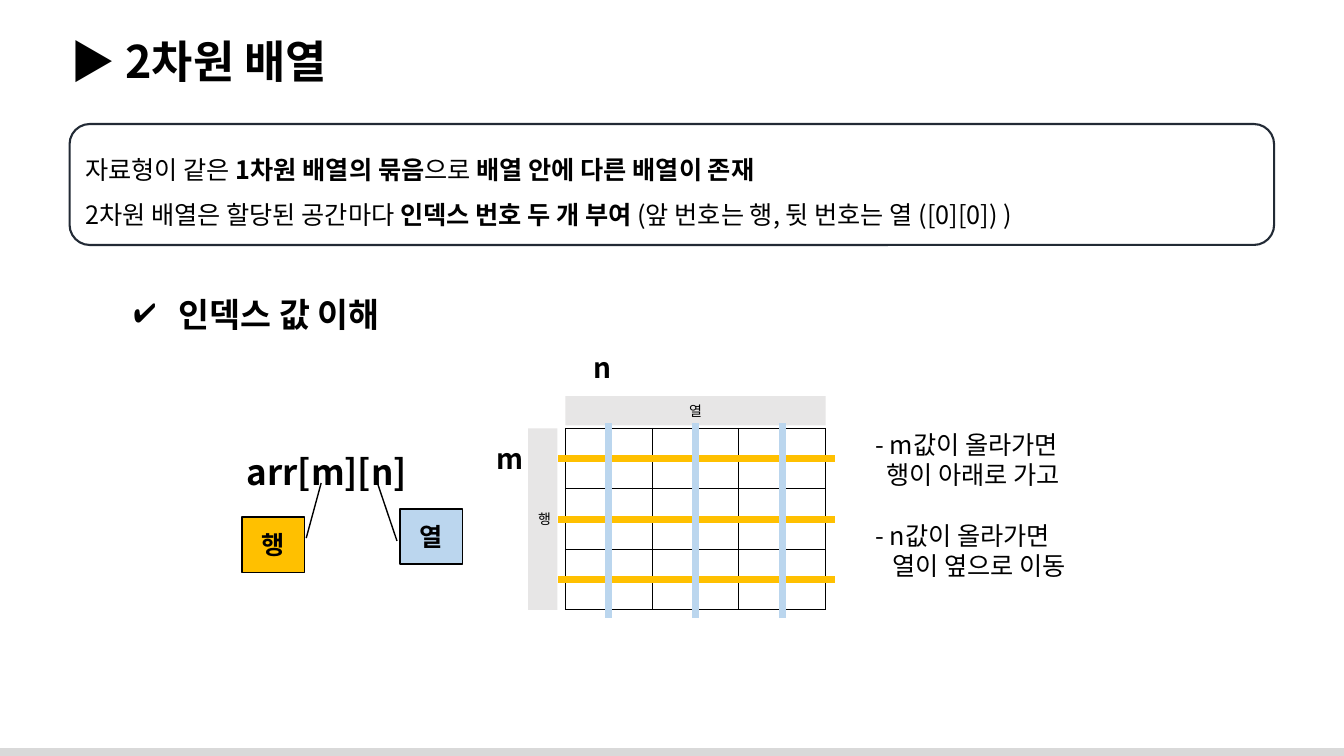
from lxml.etree import SubElement
from pptx import Presentation
from pptx.dml.color import RGBColor
from pptx.enum.shapes import MSO_CONNECTOR, MSO_SHAPE
from pptx.enum.text import MSO_ANCHOR, PP_ALIGN
from pptx.oxml.ns import qn
from pptx.util import Pt

TITLE = [[("▶ 2차원 배열", True)]]
SUMMARY = [
    [("자료형이 같은 ", False), ("1차원 배열의 묶음", True), ("으로 ", False),
     ("배열 안에 다른 배열이 존재", True)],
    [("2차원 배열은 할당된 공간마다 ", False), ("인덱스 번호 두 개 부여 ", True),
     ("(앞 번호는 행, 뒷 번호는 열 ([0][0]) )", False)],
]
HEADING = [[("인덱스 값 이해", True)]]
LABELS = [
    ("m", (342, 311.8, 44.6, 31.7)),
    ("n", (410.4, 247, 39.6, 31.7)),
]
EXPRESSION = [[("arr[m][n]", True)]]
AXES = [
    ("열", (403.9, 283, 185.8, 20.9), PP_ALIGN.CENTER),
    ("행", (377.3, 306, 20.9, 129.6), PP_ALIGN.LEFT),
]
CALLOUTS = [
    ("행", (172.8, 369.4, 44.6, 39.4), "row", (0.38, 1.03, -0.62, 1.27)),
    ("열", (285.8, 363.6, 44.6, 39.4), "column", (0.58, -0.05, -0.56, -0.39)),
]
NOTES = [
    ("- m값이 올라가면", 4, 0),
    ("행이 아래로 가고", 12, 0),
    ("- n값이 올라가면", 4, 21.6),
    ("열이 옆으로 이동", 16, 0),
]
GRID = {"left": 403.9, "top": 306, "count": 3, "width": 61.9, "height": 43.2}
THEME = {
    "font": "Noto Sans CJK KR",
    "text": "000000", "frame": "222A35", "axis": "E7E6E6",
    "row": "FFC000", "column": "BBD6EE", "footer": "D9D9D9",
    "title_size": 32, "expression_size": 25, "heading_size": 24,
    "label_size": 20, "body_size": 18, "axis_size": 10,
}


def color(name):
    return RGBColor.from_string(THEME[name])


def write(box, lines, size, align=PP_ALIGN.LEFT, anchor=MSO_ANCHOR.TOP, spacing=None):
    frame = box.text_frame
    frame.word_wrap = True
    frame.vertical_anchor = anchor
    for index, spans in enumerate(lines):
        para = frame.paragraphs[0] if index == 0 else frame.add_paragraph()
        para.alignment = align
        para.line_spacing = spacing
        for text, bold in spans:
            span = para.add_run()
            span.text = text
            span.font.size = Pt(THEME[size])
            span.font.bold = bold
            span.font.color.rgb = color("text")
            span.font.name = THEME["font"]
            SubElement(span.font._element, qn("a:ea"), typeface=THEME["font"])
    return frame.paragraphs


def add_text(place, lines, size, **layout):
    box = page.shapes.add_textbox(*map(Pt, place))
    return write(box, lines, size, **layout)


def add_box(preset, place, fill=None, line=None, width=1):
    box = page.shapes.add_shape(preset, *map(Pt, place))
    box.shadow.inherit = False
    if fill:
        box.fill.solid()
        box.fill.fore_color.rgb = color(fill)
    else:
        box.fill.background()
    if line:
        box.line.color.rgb = color(line)
        box.line.width = Pt(width)
    else:
        box.line.fill.background()
    return box


def indent(para, margin, first=0):
    properties = para._p.get_or_add_pPr()
    properties.set("marL", str(Pt(margin)))
    properties.set("indent", str(Pt(first)))
    return properties


def add_stripe(ends, name):
    stripe = page.shapes.add_connector(MSO_CONNECTOR.STRAIGHT, *map(Pt, ends))
    stripe.line.color.rgb = color(name)
    stripe.line.width = Pt(5)
    SubElement(stripe._element.spPr, qn("a:effectLst"))


def add_grid(left, top, count, width, height):
    table_frame = page.shapes.add_table(
        count, count, *map(Pt, (left, top, count * width, count * height)))
    table = table_frame.table
    table.first_row = False
    table.horz_banding = False
    for column in table.columns:
        column.width = Pt(width)
    for row in table.rows:
        row.height = Pt(height)
    for cell in table.iter_cells():
        properties = cell._tc.get_or_add_tcPr()
        for side in ("lnL", "lnR", "lnT", "lnB"):
            edge = SubElement(properties, qn(f"a:{side}"), w=str(Pt(1)))
            paint = SubElement(edge, qn("a:solidFill"))
            SubElement(paint, qn("a:srgbClr"), val=THEME["text"])
        cell.fill.background()
    for index in range(count):
        middle = top + (index + 0.5) * height
        add_stripe((left - 5, middle, left + count * width + 7, middle), "row")
    for index in range(count):
        middle = left + (index + 0.5) * width
        add_stripe((middle, top - 3.6, middle, top + count * height + 6), "column")


deck = Presentation()
deck.slide_width, deck.slide_height = Pt(960), Pt(540)
page = deck.slides.add_slide(deck.slide_layouts[6])

add_box(MSO_SHAPE.RECTANGLE, (0, 534.3, 960, 5.7), "footer")
add_text((43.2, 20.2, 907.2, 46.1), TITLE, "title_size")
summary = add_box(MSO_SHAPE.ROUNDED_RECTANGLE, (49.7, 88.6, 860.4, 86.4), line="frame", width=1.5)
write(summary, SUMMARY, "body_size", anchor=MSO_ANCHOR.MIDDLE, spacing=1.5)

heading = add_text((88.6, 206.6, 213.1, 36), HEADING, "heading_size")[0]
bullet = indent(heading, 32, -32)
bullet_color = SubElement(bullet, qn("a:buClr"))
SubElement(bullet_color, qn("a:srgbClr"), val=THEME["text"])
SubElement(bullet, qn("a:buChar"), char="✔")

for text, place in LABELS:
    add_text(place, [[(text, True)]], "label_size", align=PP_ALIGN.CENTER)
add_text((169.2, 303.1, 132.5, 37.4), EXPRESSION, "expression_size", spacing=1.5)

for text, place, align in AXES:
    axis = add_box(MSO_SHAPE.RECTANGLE, place, "axis")
    write(axis, [[(text, False)]], "axis_size", align, MSO_ANCHOR.MIDDLE)

notes = add_text((614.2, 303.1, 180, 116.6), [[(text, False)] for text, _, _ in NOTES], "body_size")
for para, (_, margin, gap) in zip(notes, NOTES):
    indent(para, margin)
    para.space_before = Pt(gap)

add_grid(**GRID)

for text, place, fill, pointer in CALLOUTS:
    callout = add_box(MSO_SHAPE.LINE_CALLOUT_1, place, fill, "text")
    for index, value in enumerate(pointer):
        callout.adjustments[index] = value
    write(callout, [[(text, True)]], "body_size", PP_ALIGN.CENTER, MSO_ANCHOR.MIDDLE)

deck.save("out.pptx")
